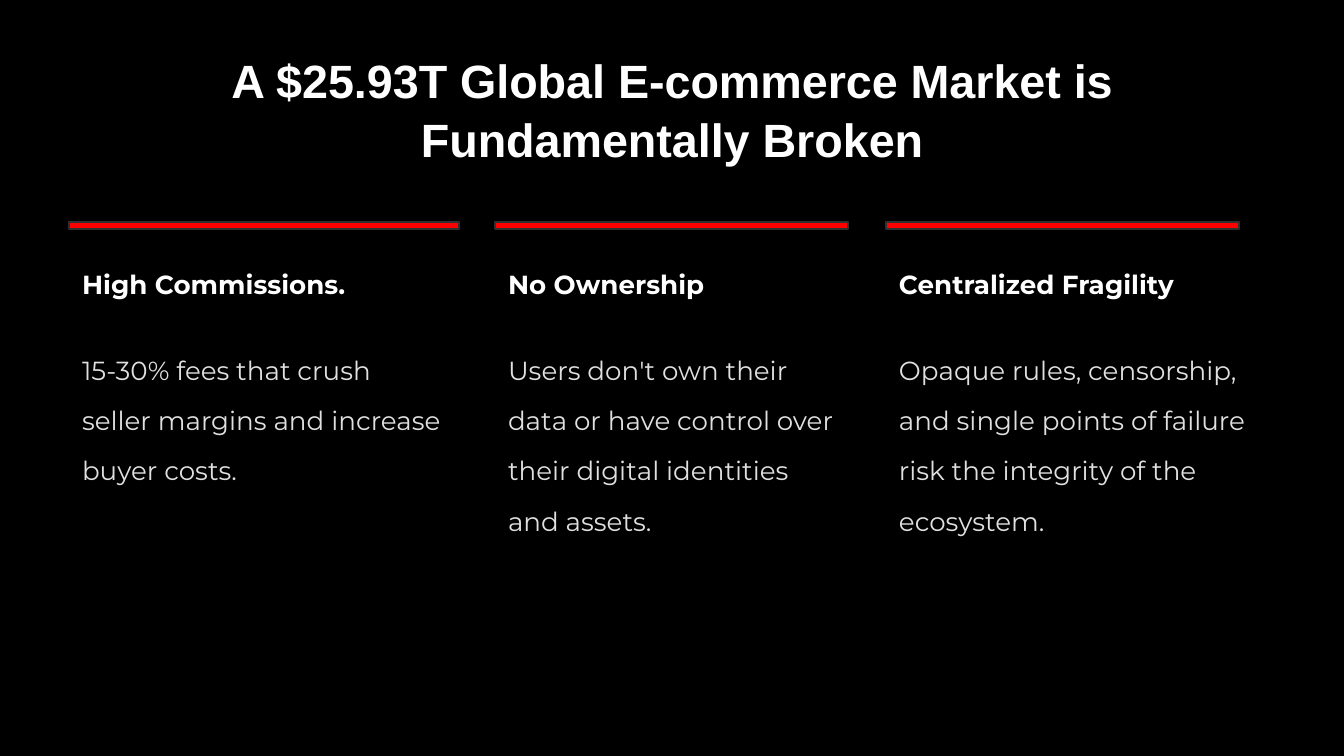
from pptx import Presentation
from pptx.dml.color import RGBColor
from pptx.enum.shapes import MSO_SHAPE
from pptx.enum.text import MSO_ANCHOR, MSO_AUTO_SIZE, PP_ALIGN
from pptx.util import Emu, Pt

RECTANGLE = MSO_SHAPE.RECTANGLE
TOP = MSO_ANCHOR.TOP
GROW = MSO_AUTO_SIZE.SHAPE_TO_FIT_TEXT
CENTER = PP_ALIGN.CENTER

BLACK = RGBColor(0x00, 0x00, 0x00)
WHITE = RGBColor(0xFF, 0xFF, 0xFF)
LIGHT_GRAY = RGBColor(0xE0, 0xE0, 0xE0)
DARK_GRAY = RGBColor(0x30, 0x30, 0x30)
RED = RGBColor(0xFF, 0x00, 0x00)

TITLE = "A $25.93T Global E-commerce Market is Fundamentally Broken"
# left, bar width, text width, text height, heading, body
COLUMNS = [
    (69, 390, 390, 247, "High Commissions.",
     "15-30% fees that crush seller margins and increase buyer costs."),
    (495, 353, 353, 297, "No Ownership",
     "Users don't own their data or have control over their digital "
     "identities and assets."),
    (886, 353, 390, 297, "Centralized Fragility",
     "Opaque rules, censorship, and single points of failure risk the "
     "integrity of the ecosystem."),
]
BAR_TOP, BAR_HEIGHT, TEXT_TOP = 222, 7, 237
INSET = 13


def px(n):
    return Emu(round(n * 914400 / 134.4))


def set_up_frame(tf):
    tf.word_wrap = True
    tf.auto_size = GROW
    tf.vertical_anchor = TOP
    tf.margin_left = tf.margin_right = px(INSET)
    tf.margin_top = tf.margin_bottom = px(INSET)


def add_run(p, text, font, size, color, bold):
    r = p.add_run()
    r.text = text
    r.font.name = font
    r.font.size = Pt(size)
    r.font.color.rgb = color
    r.font.bold = bold


def add_bar(slide, left, width):
    sp = slide.shapes.add_shape(
        RECTANGLE, px(left), px(BAR_TOP), px(width), px(BAR_HEIGHT))
    sp.shadow.inherit = False
    sp.fill.solid()
    sp.fill.fore_color.rgb = RED
    sp.line.color.rgb = DARK_GRAY
    sp.line.width = Pt(0.75)


def add_column_text(slide, left, width, height, heading, body):
    box = slide.shapes.add_textbox(
        px(left), px(TEXT_TOP), px(width), px(height))
    tf = box.text_frame
    set_up_frame(tf)
    p = tf.paragraphs[0]
    p.line_spacing = 1.6
    add_run(p, heading, "Montserrat", 14, WHITE, True)
    p = tf.add_paragraph()
    p.line_spacing = 1.6
    p.space_before = p.space_after = Pt(19)
    add_run(p, body, "Montserrat", 14, LIGHT_GRAY, False)


prs = Presentation()
prs.slide_width, prs.slide_height = px(1344), px(756)
slide = prs.slides.add_slide(prs.slide_layouts[5])
slide.background.fill.solid()
slide.background.fill.fore_color.rgb = BLACK

title = slide.shapes.title
title.left, title.top, title.width, title.height = map(px, (208, 36, 928, 140))
set_up_frame(title.text_frame)
p = title.text_frame.paragraphs[0]
p.alignment = CENTER
p.line_spacing = 1.05
add_run(p, TITLE, "Arial", 25, WHITE, True)

for left, bar_width, text_width, text_height, heading, body in COLUMNS:
    add_bar(slide, left, bar_width)
    add_column_text(slide, left, text_width, text_height, heading, body)

prs.save("out.pptx")
